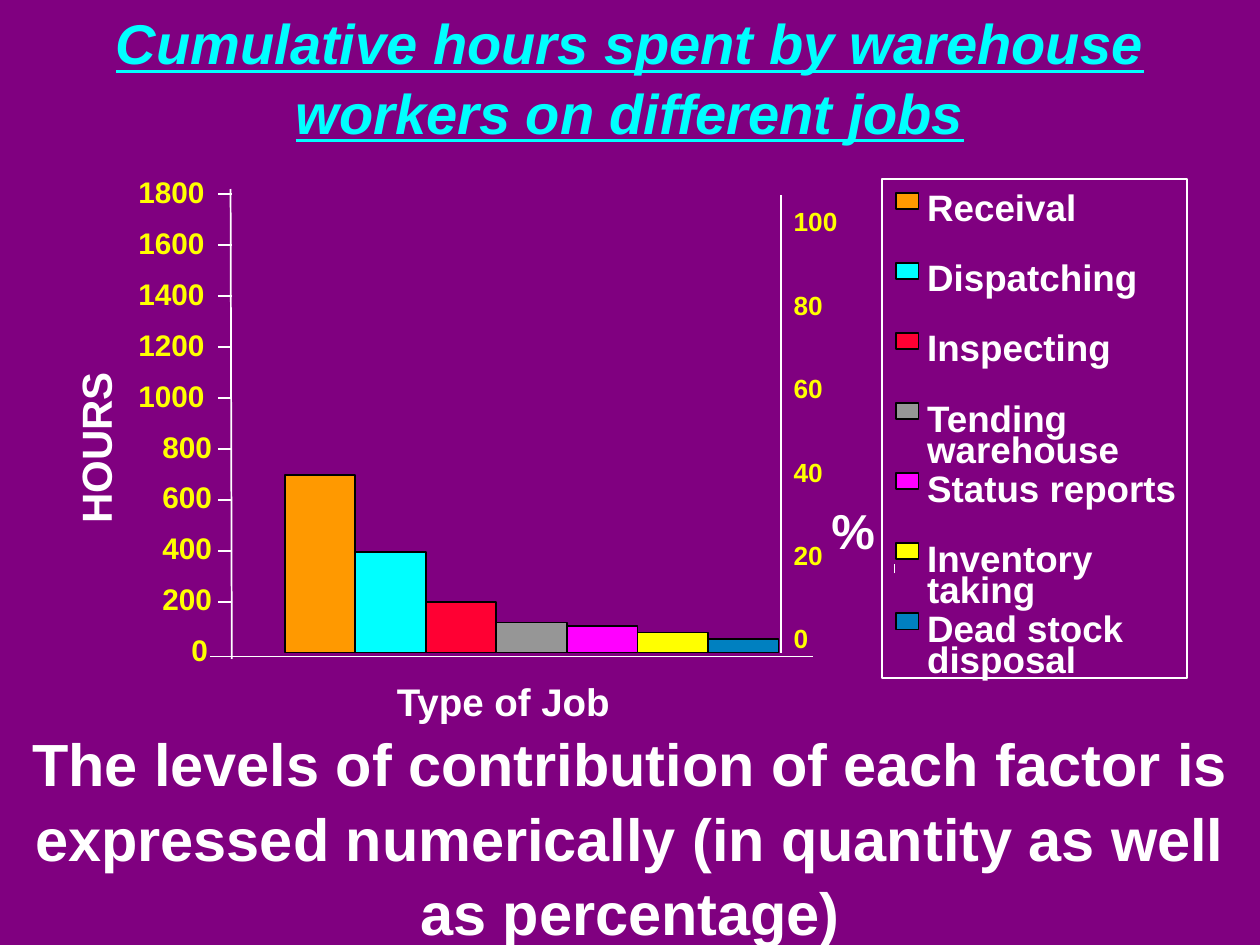
from dataclasses import dataclass

import pptx
import pptx.dml.color
import pptx.enum.shapes
import pptx.enum.text
import pptx.oxml.ns
import pptx.util
from pptx.util import Inches

INK = {
    "ground": "800080", "white": "FFFFFF", "black": "000000",
    "orange": "FF9900", "cyan": "00FFFF", "red": "FF0033",
    "gray": "969696", "pink": "FF00FF", "yellow": "FFFF00", "blue": "0080C0",
}
ALIGN = pptx.enum.text.PP_ALIGN


@dataclass
class Job:
    label: list[str]
    ink: str
    top: float


JOBS = [
    Job(["Receival"], "orange", 3.77),
    Job(["Dispatching"], "cyan", 4.38),
    Job(["Inspecting"], "red", 4.78),
    Job(["Tending", "warehouse"], "gray", 4.94),
    Job(["Status reports"], "pink", 4.97),
    Job(["Inventory", "taking"], "yellow", 5.02),
    Job(["Dead stock", "disposal"], "blue", 5.07),
]


def color(name: str) -> pptx.dml.color.RGBColor:
    return pptx.dml.color.RGBColor.from_string(INK[name])


def write(box, text: str, size: float, ink: str = "white", align=ALIGN.LEFT,
          wrap: bool = False, slant: bool = False, under: bool = False,
          lead: float | None = None) -> None:
    frame = box.text_frame
    frame.text = text
    frame.word_wrap = wrap
    frame.auto_size = pptx.enum.text.MSO_AUTO_SIZE.NONE
    frame.vertical_anchor = pptx.enum.text.MSO_ANCHOR.TOP
    for line in frame.paragraphs:
        line.alignment = align
        line.space_before = pptx.util.Pt(0)
        if lead:
            line.line_spacing = lead
        for run in line.runs:
            font = run.font
            font.name = "Arial"
            font.size = pptx.util.Pt(size)
            font.bold = True
            font.italic = slant
            font.underline = under
            font.color.rgb = color(ink)


def place(box, left: float, top: float, width: float, height: float) -> None:
    box.left, box.top = Inches(left), Inches(top)
    box.width, box.height = Inches(width), Inches(height)


def label(slide, text: str, left: float, top: float, width: float,
          height: float, size: float, **form):
    box = slide.shapes.add_textbox(
        Inches(left), Inches(top), Inches(width), Inches(height))
    write(box, text, size, **form)
    return box


def block(slide, left: float, top: float, width: float, height: float,
          fill: str | None = None, edge: str = "black") -> None:
    shape = slide.shapes.add_shape(
        pptx.enum.shapes.MSO_SHAPE.RECTANGLE,
        Inches(left), Inches(top), Inches(width), Inches(height))
    shape.shadow.inherit = False
    if fill:
        shape.fill.solid()
        shape.fill.fore_color.rgb = color(fill)
    else:
        shape.fill.background()
    shape.line.color.rgb = color(edge)
    shape.line.width = pptx.util.Pt(1)


def rule(slide, x1: float, y1: float, x2: float, y2: float) -> None:
    line = slide.shapes.add_connector(
        pptx.enum.shapes.MSO_CONNECTOR.STRAIGHT,
        Inches(x1), Inches(y1), Inches(x2), Inches(y2))
    line.line.color.rgb = color("white")
    line.line.width = pptx.util.Pt(1)
    props = line._element.spPr
    props.append(props.makeelement(pptx.oxml.ns.qn("a:effectLst"), {}))


def draw_words(slide) -> None:
    title, body = slide.placeholders
    place(title, 0, 0, 10, 1.17)
    write(title, "Cumulative hours spent by warehouse workers on different jobs",
          32, ink="cyan", align=ALIGN.CENTER, wrap=True, slant=True, under=True,
          lead=1.04)
    place(body, 0, 5.7, 10, 1.8)
    write(body, "The levels of contribution of each factor is expressed "
          "numerically (in quantity as well as percentage)",
          34, align=ALIGN.CENTER, wrap=True, lead=1.04)
    props = body.text_frame.paragraphs[0]._p.get_or_add_pPr()
    props.set("marL", "0")
    props.set("indent", "0")
    props.append(props.makeelement(pptx.oxml.ns.qn("a:buNone"), {}))


def draw_key(slide) -> None:
    rule(slide, 7.1, 4.55, 7.1, 4.48)
    block(slide, 7, 1.42, 2.42, 3.96, edge="white")
    for row, job in enumerate(JOBS):
        top = 1.42 + 0.556 * row
        block(slide, 7.11, top + 0.11, 0.18, 0.13, fill=job.ink)
        for step, text in enumerate(job.label):
            label(slide, text, 7.26, top + 0.25 * step, 2.18, 0.45, 21)


def draw_graph(slide) -> None:
    base, wide = 5.18, 0.56
    label(slide, "Type of Job", 1.83, 5.33, 4.33, 0.47, 22,
          align=ALIGN.CENTER, wrap=True)
    label(slide, "%", 6.5, 3.92, 0.55, 0.57, 28)
    label(slide, "HOURS", 0.05, 3.3, 1.41, 0.5, 24).rotation = 270
    label(slide, "100\n80\n60\n40\n20\n0", 6.2, 1.17, 0.55, 4.07, 15,
          ink="yellow", lead=2.65)
    rule(slide, 1.84, 5.21, 6.45, 5.21)
    for spot, job in enumerate(JOBS):
        block(slide, 2.26 + wide * spot, job.top, wide, base - job.top,
              fill=job.ink)
    rule(slide, 1.83, 1.5, 1.84, 5.23)
    rule(slide, 2.01, 5.21, 1.67, 5.21)
    rule(slide, 6.2, base, 6.2, 1.55)
    spots = {1: (1.42, 0.33), 3: (1.19, 0.6), 4: (1, 0.73)}
    for step in range(10):
        text = str(1800 - 200 * step)
        left, width = spots[len(text)]
        label(slide, text, left, 1.33 + 0.404 * step, width, 0.38, 17,
              ink="yellow")
        if step < 9:
            tick = 1.54 + 0.405 * step
            rule(slide, 1.73, tick, 1.84, tick)


def main() -> None:
    deck = pptx.Presentation()
    deck.slide_width, deck.slide_height = Inches(10), Inches(7.5)
    slide = deck.slides.add_slide(deck.slide_layouts[1])
    slide.background.fill.solid()
    slide.background.fill.fore_color.rgb = color("ground")
    draw_words(slide)
    draw_key(slide)
    draw_graph(slide)
    deck.save("out.pptx")


if __name__ == "__main__":
    main()
